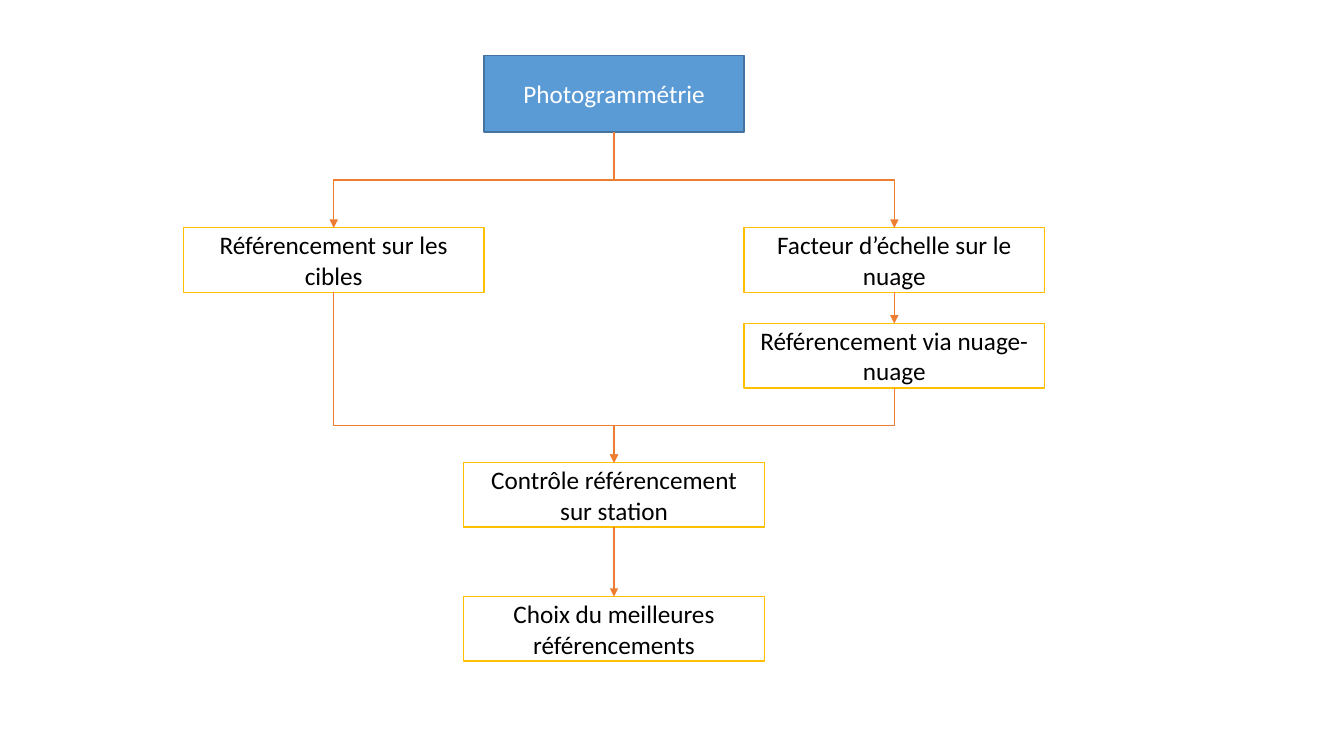
from lxml import etree
from pptx import Presentation, util as u
from pptx.dml.color import RGBColor
from pptx.enum import shapes, text
from pptx.oxml.ns import qn

MID, LEFT, RIGHT = 6.09, 3.31, 8.87  # column centres
HEAD = (2.58, 0.76, "5B9BD5", "43739E", "FFFFFF")
STEP = (2.98, 0.64, "FFFFFF", "FFC000", "000000")

# name: (text, column centre, top, style)
BOXES = {
    "photo": ("Photogrammétrie", MID, 0.55, HEAD),
    "target": ("Référencement sur les cibles", LEFT, 2.26, STEP),
    "scale": ("Facteur d’échelle sur le nuage", RIGHT, 2.26, STEP),
    "cloud": ("Référencement via nuage-nuage", RIGHT, 3.21, STEP),
    "check": ("Contrôle référencement sur station", MID, 4.59, STEP),
    "choice": ("Choix du meilleures référencements", MID, 5.92, STEP),
}
# from, to, share of the drop before the bend
LINKS = [
    ("photo", "target", 0.5),
    ("photo", "scale", 0.5),
    ("scale", "cloud", None),
    ("target", "check", 0.783),
    ("cloud", "check", 0.5),
    ("check", "choice", None),
]
BOTTOM, TOP = 2, 0  # connection sites of a rectangle


def color(code):
    return RGBColor.from_string(code)


def add_box(slide, label, mid, top, style):
    wide, high, fill, edge, ink = style
    box = slide.shapes.add_shape(
        shapes.MSO_SHAPE.RECTANGLE, u.Inches(mid - wide / 2), u.Inches(top),
        u.Inches(wide), u.Inches(high))
    box.shadow.inherit = False
    box.fill.solid()
    box.fill.fore_color.rgb = color(fill)
    box.line.color.rgb = color(edge)
    box.line.width = u.Pt(1)
    frame = box.text_frame
    frame.word_wrap = True
    frame.vertical_anchor = text.MSO_ANCHOR.MIDDLE
    frame.text = label
    para = frame.paragraphs[0]
    para.alignment = text.PP_ALIGN.CENTER
    para.font.name = "Calibri"
    para.font.size = u.Pt(18)
    para.font.color.rgb = color(ink)
    return box


def turn(link, bend):
    """Turn an elbow so that it leaves and arrives vertically."""
    x1, y1, x2, y2 = link.begin_x, link.begin_y, link.end_x, link.end_y
    drop, span = y2 - y1, abs(x2 - x1)
    link.left, link.top = (x1 + x2 - drop) // 2, (y1 + y2 - span) // 2
    link.width, link.height = drop, span
    props = link._element.spPr
    frame = props.find(qn("a:xfrm"))
    frame.set("rot", str((270 if x2 > x1 else 90) * 60000))
    frame.set("flipH", "1" if x2 > x1 else "0")
    guides = props.find(qn("a:prstGeom")).find(qn("a:avLst"))
    etree.SubElement(guides, qn("a:gd"), name="adj1",
                     fmla=f"val {round(bend * 100000)}")


def add_link(slide, start, end, bend):
    kind = shapes.MSO_CONNECTOR
    link = slide.shapes.add_connector(
        kind.ELBOW if bend else kind.STRAIGHT, 0, 0, 0, 0)
    link.begin_connect(start, BOTTOM)
    link.end_connect(end, TOP)
    if bend:
        turn(link, bend)
    link.line.color.rgb = color("ED7D31")
    link.line.width = u.Pt(1)
    etree.SubElement(link.line._get_or_add_ln(), qn("a:tailEnd"), type="triangle")
    etree.SubElement(link._element.spPr, qn("a:effectLst"))


def main():
    deck = Presentation()
    deck.slide_width, deck.slide_height = u.Inches(13.33), u.Inches(7.5)
    slide = deck.slides.add_slide(deck.slide_layouts[6])
    boxes = {name: add_box(slide, *box) for name, box in BOXES.items()}
    for start, end, bend in LINKS:
        add_link(slide, boxes[start], boxes[end], bend)
    deck.save("out.pptx")


if __name__ == "__main__":
    main()
